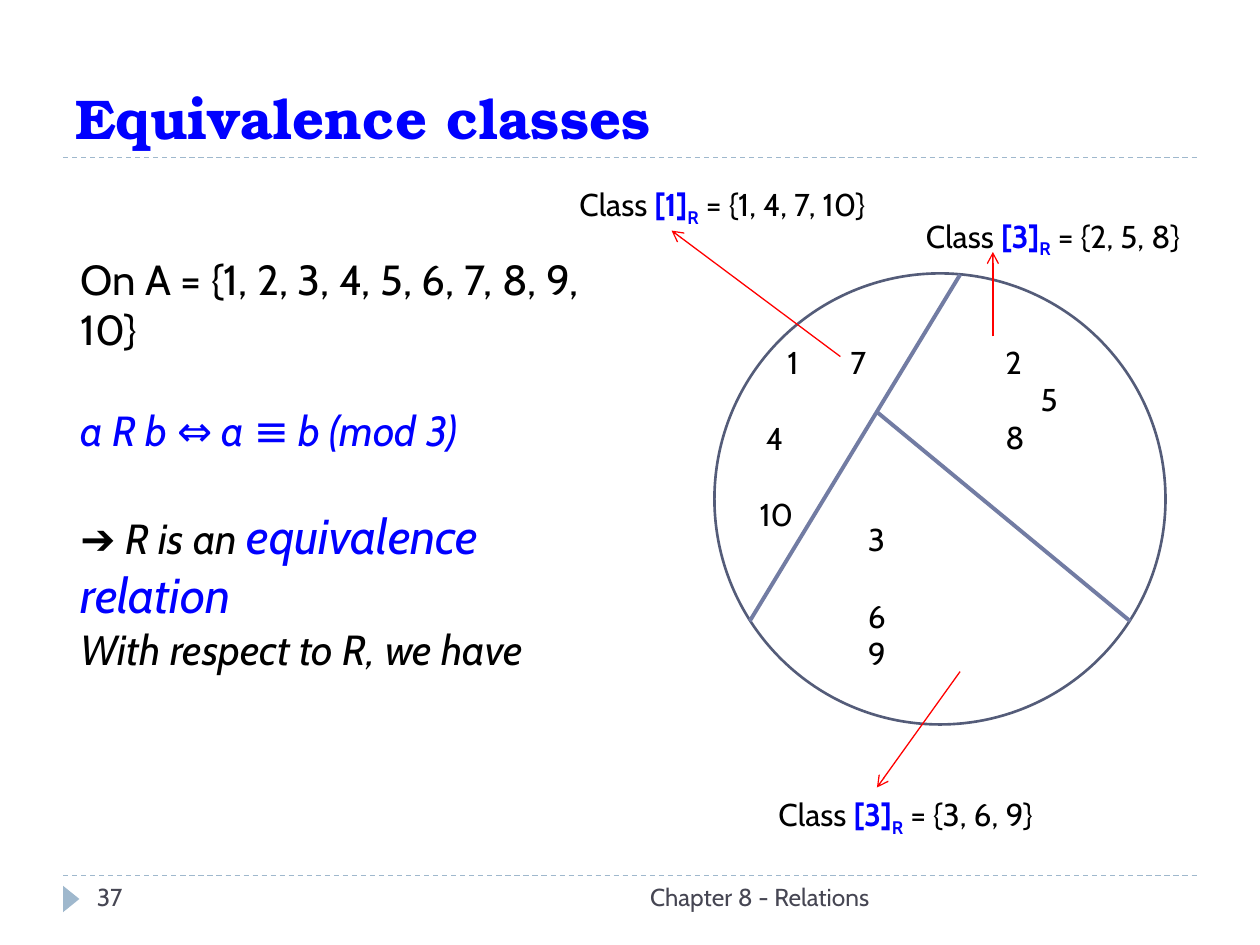
from lxml import etree
from pptx import Presentation
from pptx.dml.color import RGBColor
from pptx.enum.dml import MSO_LINE
from pptx.enum.shapes import MSO_CONNECTOR, MSO_SHAPE
from pptx.enum.text import MSO_ANCHOR, PP_ALIGN
from pptx.oxml.ns import qn
from pptx.util import Inches, Pt

BLUE, BLACK, RED, GRAY = "0000FF", "000000", "FF0000", "464653"
RULE, DIVIDER, OUTLINE = "9FB8CD", "727CA3", "545C79"
BODY_FONT, TITLE_FONT = "Cabin", "TeX Gyre Bonum"

TITLE = "Equivalence classes"
STATEMENT = [
    (0, [("On A = {1, 2, 3, 4, 5, 6, 7, 8, 9, 10}", 24, BLACK, False)]),
    (29, [("a R b ⇔ a ≡ b (mod 3)", 24, BLUE, True)]),
    (29, [("➔ R is an ", 24, BLACK, True), ("equivalence relation", 28, BLUE, True)]),
    (0, [("With respect to R, we have", 24, BLACK, True)]),
]
CLASS_LABELS = [
    ((4.5, 1.42, 2.67, 0.4), "[1]", " = {1, 4, 7, 10}"),
    ((6.08, 6.26, 2.32, 0.4), "[3]", " = {3, 6, 9}"),
    ((7.25, 1.67, 2.32, 0.4), "[3]", " = {2, 5, 8}"),
]
MEMBERS = [
    ((5.93, 2.67, 1.16, 1.62), [("1\t7", 0.22, 0), ("4", 0.05, 22), ("10", 0, 22)]),
    ((7.88, 2.67, 1.21, 1.01), [("2", 0, 0), ("5", 0.28, 0), ("8", 0, 0)]),
    ((6.79, 4.08, 1.34, 1.31), [("3", 0, 0), ("6", 0, 22), ("9", 0, 0)]),
]
SECOND_MEMBER_TAB = 0.65
RULES = [(0.5, 1.25, 9.5, 1.25), (0.5, 6.95, 9.5, 6.95)]
DIVIDERS = [(7.62, 2.18, 5.95, 4.93), (6.96, 3.27, 8.97, 4.93)]
ARROWS = [(6.67, 2.83, 5.33, 1.83), (7.62, 5.33, 6.96, 6.25), (7.88, 2.67, 7.88, 2)]
FOOTERS = [
    ((0.67, 6.95, 2.17, 0.4), "37", PP_ALIGN.LEFT),
    ((3.17, 6.95, 3.83, 0.4), "Chapter 8 - Relations", PP_ALIGN.RIGHT),
]


def rgb(value):
    return RGBColor.from_string(value)


def style(font, size, color, name=BODY_FONT, bold=False, italic=False):
    font.name, font.size, font.bold, font.italic = name, Pt(size), bold, italic
    font.color.rgb = rgb(color)


def add_run(p, text, size, color, **options):
    r = p.add_run()
    r.text = text
    style(r.font, size, color, **options)
    return r


def add_paragraph(tf, index, before=0):
    p = tf.add_paragraph() if index else tf.paragraphs[0]
    if before:
        p.space_before = Pt(before)
    return p


def add_text(s, box, wrap=False):
    tf = s.shapes.add_textbox(*map(Inches, box)).text_frame
    tf.word_wrap = wrap
    return tf


def add_line(s, ends, color, width, dashed=False, arrow=False):
    line = s.shapes.add_connector(MSO_CONNECTOR.STRAIGHT, *map(Inches, ends))
    line.line.color.rgb = rgb(color)
    line.line.width = Pt(width)
    if dashed:
        line.line.dash_style = MSO_LINE.DASH
    if arrow:
        etree.SubElement(line.line._get_or_add_ln(), qn("a:tailEnd"), type="arrow")
    etree.SubElement(line._element.spPr, qn("a:effectLst"))


def add_shape(s, kind, box):
    sp = s.shapes.add_shape(kind, *map(Inches, box))
    sp.shadow.inherit = False
    return sp


def add_title(s):
    title = s.shapes.title
    title.left, title.top, title.width, title.height = map(Inches, (0.5, 0.17, 9, 1.08))
    tf = title.text_frame
    tf.text = TITLE
    tf.vertical_anchor = MSO_ANCHOR.BOTTOM
    p = tf.paragraphs[0]
    p.alignment = PP_ALIGN.LEFT
    style(p.runs[0].font, 32, BLUE, name=TITLE_FONT, bold=True)


def add_members(s, box, rows):
    tf = add_text(s, box)
    for i, (text, indent, before) in enumerate(rows):
        p = add_paragraph(tf, i, before)
        pPr = p._p.get_or_add_pPr()
        pPr.set("marL", str(Inches(indent)))
        pPr.set("indent", "0")
        if "\t" in text:
            tabs = etree.SubElement(pPr, qn("a:tabLst"))
            etree.SubElement(tabs, qn("a:tab"), pos=str(Inches(SECOND_MEMBER_TAB)), algn="l")
        add_run(p, text, 18, BLACK)


def add_class_label(s, box, name, members):
    p = add_text(s, box).paragraphs[0]
    add_run(p, "Class ", 18, BLACK)
    add_run(p, name, 18, BLUE, bold=True)
    subscript = add_run(p, "R", 18, BLUE, bold=True)
    subscript._r.get_or_add_rPr().set("baseline", "-25000")
    add_run(p, members, 18, BLACK)


def main():
    """Build the slide on equivalence classes modulo 3."""
    prs = Presentation()
    prs.slide_width, prs.slide_height = Inches(10), Inches(7.5)
    s = prs.slides.add_slide(prs.slide_layouts[5])
    add_title(s)

    for ends in RULES:
        add_line(s, ends, RULE, 0.75, dashed=True)
    marker = add_shape(s, MSO_SHAPE.ISOSCELES_TRIANGLE, (0.46, 7.07, 0.21, 0.13))
    marker.rotation = 90
    marker.fill.solid()
    marker.fill.fore_color.rgb = rgb(RULE)
    marker.line.fill.background()

    circle = add_shape(s, MSO_SHAPE.OVAL, (5.67, 2.17, 3.58, 3.58))
    circle.fill.background()
    circle.line.color.rgb = rgb(OUTLINE)
    circle.line.width = Pt(1.5)
    for box, rows in MEMBERS:
        add_members(s, box, rows)
    for ends in DIVIDERS:
        add_line(s, ends, DIVIDER, 2.25)

    tf = add_text(s, (0.54, 1.96, 4.58, 3.5), wrap=True)
    for i, (before, runs) in enumerate(STATEMENT):
        p = add_paragraph(tf, i, before)
        for text, size, color, italic in runs:
            add_run(p, text, size, color, italic=italic)

    for ends in ARROWS:
        add_line(s, ends, RED, 0.75, arrow=True)
    for label in CLASS_LABELS:
        add_class_label(s, *label)
    for box, text, alignment in FOOTERS:
        p = add_text(s, box, wrap=True).paragraphs[0]
        p.alignment = alignment
        add_run(p, text, 14, GRAY)
    prs.save("out.pptx")


if __name__ == "__main__":
    main()
